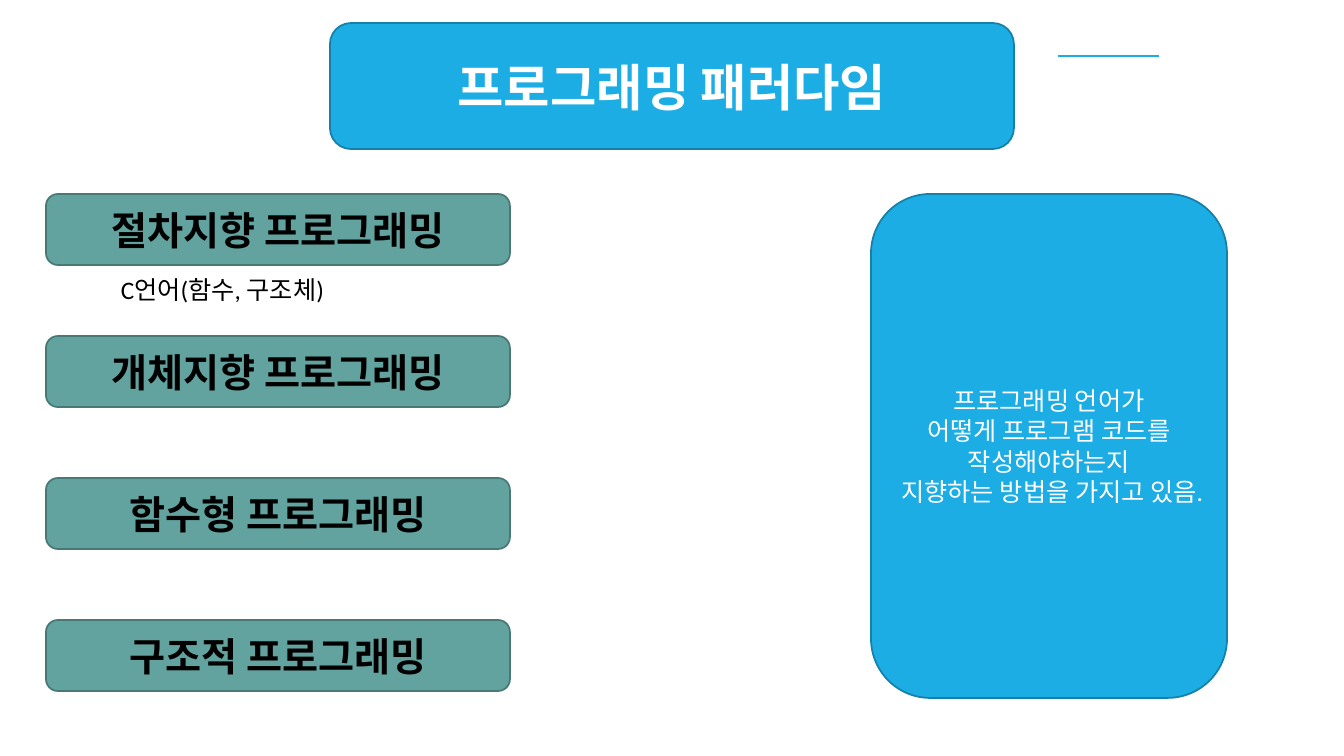
"""Build a slide on programming paradigms."""
from lxml.etree import SubElement
from pptx import Presentation
from pptx.dml.color import RGBColor
from pptx.enum.shapes import MSO_CONNECTOR, MSO_SHAPE
from pptx.enum.text import MSO_ANCHOR, PP_ALIGN
from pptx.oxml.ns import qn
from pptx.util import Emu, Pt

BLUE, BLUE_EDGE = "1CADE4", "1580A9"
TEAL, TEAL_EDGE = "62A39F", "497976"
WHITE, BLACK = "FFFFFF", "000000"


def px(length):
    return Emu(round(length * 914400 / 100.8))


def add_text(text, at, fill=None, edge=None, size=18, color=WHITE, bold=False):
    box = [px(length) for length in at]
    if fill:
        holder = slide.shapes.add_shape(MSO_SHAPE.ROUNDED_RECTANGLE, *box)
        holder.shadow.inherit = False
        holder.fill.solid()
        holder.fill.fore_color.rgb = RGBColor.from_string(fill)
        holder.line.color.rgb = RGBColor.from_string(edge)
        holder.line.width = Pt(1.25)
    else:
        holder = slide.shapes.add_textbox(*box)
    frame = holder.text_frame
    frame.word_wrap = True
    frame.vertical_anchor = MSO_ANCHOR.MIDDLE if fill else MSO_ANCHOR.TOP
    frame.text = text
    for paragraph in frame.paragraphs:
        paragraph.alignment = PP_ALIGN.CENTER if fill else PP_ALIGN.LEFT
        font = paragraph.runs[0].font
        font.name = "Calibri"
        font.size = Pt(size)
        font.bold = bold
        font.color.rgb = RGBColor.from_string(color)


deck = Presentation()
deck.slide_width, deck.slide_height = px(1344), px(756)
slide = deck.slides.add_slide(deck.slide_layouts[6])

accent = slide.shapes.add_connector(
    MSO_CONNECTOR.STRAIGHT, px(1058), px(56), px(1159), px(56))
accent.line.color.rgb = RGBColor.from_string(BLUE)
accent.line.width = Pt(1.5)
SubElement(accent.element.spPr, qn("a:effectLst"))

add_text("프로그래밍 패러다임", (330, 23, 684, 126),
         fill=BLUE, edge=BLUE_EDGE, size=36, bold=True)

paradigms = ["절차지향", "개체지향", "함수형", "구조적"]
for row, paradigm in enumerate(paradigms):
    add_text(f"{paradigm} 프로그래밍", (46, 194 + 142 * row, 464, 71),
             fill=TEAL, edge=TEAL_EDGE, size=28, color=BLACK, bold=True)

definition = [
    "프로그래밍 언어가",
    "어떻게 프로그램 코드를 작성해야하는지",
    "지향하는 방법을 가지고 있음.",
]
add_text("\n".join(definition), (871, 194, 356, 504), fill=BLUE, edge=BLUE_EDGE)

add_text("C언어(함수, 구조체)", (111, 269, 380, 40), color=BLACK)

deck.save("out.pptx")
